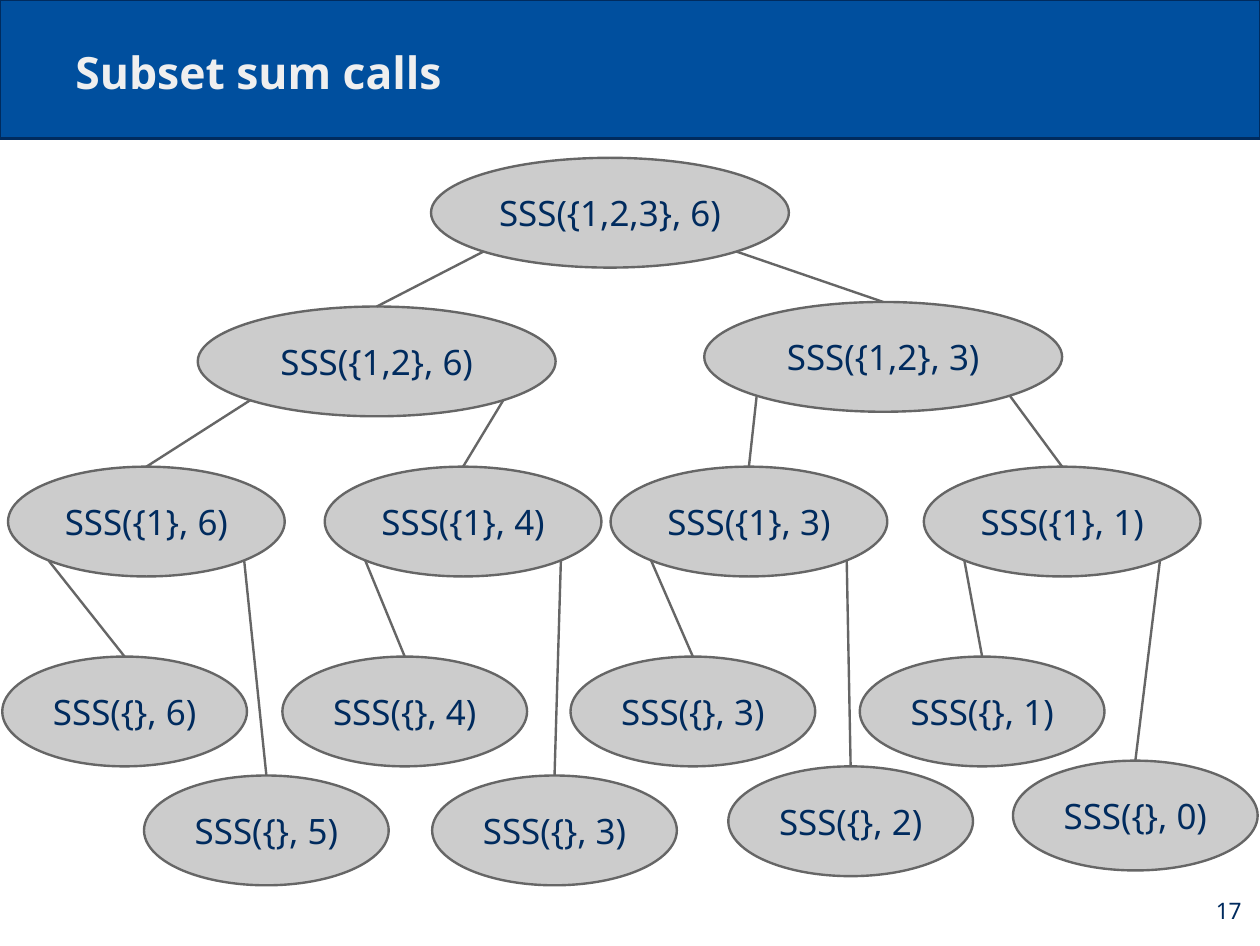
"""Build the slide showing the call tree of the subset sum recursion."""
from math import sqrt

from lxml.etree import SubElement
from pptx import Presentation
from pptx.dml.color import RGBColor
from pptx.enum.shapes import MSO_CONNECTOR, MSO_SHAPE
from pptx.enum.text import MSO_ANCHOR, PP_ALIGN
from pptx.oxml.ns import qn
from pptx.util import Inches, Pt


def paint(color_format, hex_color):
    color_format.rgb = RGBColor.from_string(hex_color)


def write(shape, text, size, color, align, anchor, bold=False, wrap=True):
    frame = shape.text_frame
    settings = {"word_wrap": wrap, "vertical_anchor": anchor}
    for side in ("left", "top", "right", "bottom"):
        settings[f"margin_{side}"] = Inches(0.11)
    for name, value in settings.items():
        setattr(frame, name, value)
    paragraph = frame.paragraphs[0]
    paragraph.alignment = align
    run = paragraph.add_run()
    run.text = text
    for name, value in {"name": "Noto Sans", "size": Pt(size), "bold": bold}.items():
        setattr(run.font, name, value)
    paint(run.font.color, color)


NAVY = "002B5E"
GREY = "666666"
CALL_HEIGHT = 0.96
CORNER = sqrt(2) / 4

presentation = Presentation()
presentation.slide_width = Inches(11.02)
presentation.slide_height = Inches(8.27)
slide = presentation.slides.add_slide(presentation.slide_layouts[6])
shapes = slide.shapes

banner = shapes.add_shape(MSO_SHAPE.RECTANGLE, 0, 0, Inches(11.02), Inches(1.21))
banner.shadow.inherit = False
banner.fill.solid()
paint(banner.fill.fore_color, "004F9E")
paint(banner.line.color, NAVY)
banner.line.width = Pt(1.5)

title = shapes.add_textbox(Inches(0.55), Inches(0.24), Inches(9.92), Inches(0.73))
write(title, "Subset sum calls", 28, "EFEFEF", PP_ALIGN.LEFT, MSO_ANCHOR.BOTTOM, bold=True)

levels = [
    (3.13, [("{1,2,3}, 6", 3.77, 1.38)]),
    (3.13, [("{1,2}, 6", 1.73, 2.68), ("{1,2}, 3", 6.16, 2.64)]),
    (2.42, [("{1}, 6", 0.07, 4.08), ("{1}, 4", 2.84, 4.08),
            ("{1}, 3", 5.34, 4.08), ("{1}, 1", 8.08, 4.08)]),
    (2.14, [("{}, 6", 0.02, 5.74), ("{}, 5", 1.26, 6.78),
            ("{}, 4", 2.47, 5.74), ("{}, 3", 3.78, 6.78),
            ("{}, 3", 4.99, 5.74), ("{}, 2", 6.37, 6.7),
            ("{}, 1", 7.52, 5.74), ("{}, 0", 8.86, 6.65)]),
]

callers = []
for width, calls in levels:
    callees = []
    for index, (arguments, left, top) in enumerate(calls):
        call = shapes.add_shape(MSO_SHAPE.OVAL, Inches(left), Inches(top),
                                Inches(width), Inches(CALL_HEIGHT))
        call.shadow.inherit = False
        call.fill.solid()
        paint(call.fill.fore_color, "CCCCCC")
        paint(call.line.color, GREY)
        call.line.width = Pt(1.5)
        write(call, f"SSS({arguments})", 22, NAVY, PP_ALIGN.CENTER,
              MSO_ANCHOR.MIDDLE, wrap=False)
        callees.append(call)
        if callers:
            caller = callers[index // 2]
            across = 0.5 + CORNER if index % 2 else 0.5 - CORNER
            branch = shapes.add_connector(
                MSO_CONNECTOR.STRAIGHT,
                int(caller.left + across * caller.width),
                int(caller.top + (0.5 + CORNER) * caller.height),
                call.left + call.width // 2, call.top)
            branch.end_connect(call, 0)
            paint(branch.line.color, GREY)
            branch.line.width = Pt(1.5)
            SubElement(branch._element.spPr, qn("a:effectLst"))
    callers = callees

page_number = shapes.add_textbox(Inches(10.31), Inches(7.64), Inches(0.66), Inches(0.63))
write(page_number, "17", 14.3, NAVY, PP_ALIGN.RIGHT, MSO_ANCHOR.MIDDLE)

presentation.save("out.pptx")
